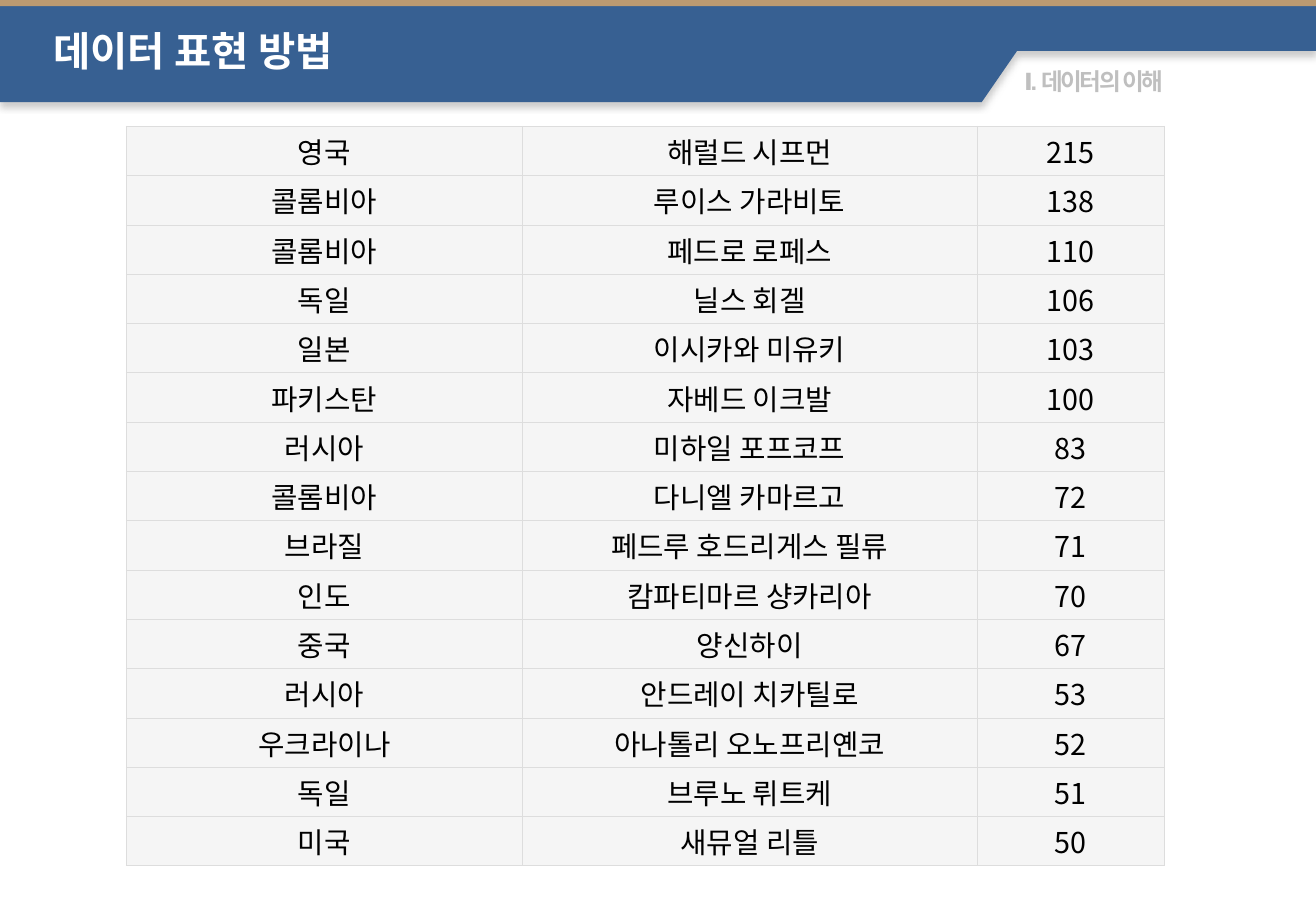
from lxml import etree
from pptx import Presentation
from pptx.dml.color import RGBColor
from pptx.enum.shapes import MSO_SHAPE
from pptx.enum.text import MSO_ANCHOR, PP_ALIGN
from pptx.oxml import parse_xml
from pptx.oxml.ns import qn
from pptx.util import Inches, Pt

RECTANGLE = MSO_SHAPE.RECTANGLE
MIDDLE = MSO_ANCHOR.MIDDLE
CENTER = PP_ALIGN.CENTER
KOREAN_FONT = "Noto Sans CJK KR"
DRAWING_NS = "http://schemas.openxmlformats.org/drawingml/2006/main"
COLORS = {
    "banner": "376092",
    "strip": "BB9A71",
    "shadow": "808080",
    "chapter": "BFBFBF",
    "title": "FFFFFF",
    "cell": "F5F5F5",
    "border": "DDDDDD",
    "text": "000000",
}
ROWS = [
    ("영국", "해럴드 시프먼", 215),
    ("콜롬비아", "루이스 가라비토", 138),
    ("콜롬비아", "페드로 로페스", 110),
    ("독일", "닐스 회겔", 106),
    ("일본", "이시카와 미유키", 103),
    ("파키스탄", "자베드 이크발", 100),
    ("러시아", "미하일 포프코프", 83),
    ("콜롬비아", "다니엘 카마르고", 72),
    ("브라질", "페드루 호드리게스 필류", 71),
    ("인도", "캄파티마르 샹카리아", 70),
    ("중국", "양신하이", 67),
    ("러시아", "안드레이 치카틸로", 53),
    ("우크라이나", "아나톨리 오노프리옌코", 52),
    ("독일", "브루노 뤼트케", 51),
    ("미국", "새뮤얼 리틀", 50),
]
COLUMN_WIDTHS = [3.26, 3.74, 1.54]
TABLE_HEIGHT = 6.09


def write_text(text_frame, text, size, color, font=KOREAN_FONT, bold=False,
               align=None, line_spacing=None, tracking=None):
    """Fill the first paragraph; tracking is in hundredths of a point."""
    paragraph = text_frame.paragraphs[0]
    paragraph.alignment = align
    paragraph.line_spacing = line_spacing
    run = paragraph.add_run()
    run.text = text
    run.font.size = Pt(size)
    run.font.bold = bold
    run.font.name = font
    run.font.color.rgb = RGBColor.from_string(COLORS[color])
    properties = run.font._element
    etree.SubElement(properties, qn("a:ea"), typeface=font)
    if tracking is not None:
        properties.set("spc", str(tracking))


def paint(shape, color):
    shape.fill.solid()
    shape.fill.fore_color.rgb = RGBColor.from_string(COLORS[color])
    shape.line.fill.background()
    shape.shadow.inherit = False


presentation = Presentation()
presentation.slide_width = Inches(10.83)
presentation.slide_height = Inches(7.5)
slide = presentation.slides.add_slide(presentation.slide_layouts[6])
shapes = slide.shapes

# Banner with its stepped lower edge
outline = [(10.83, 0), (10.83, 0.42), (8.37, 0.42), (8.08, 0.84), (0, 0.84)]
builder = shapes.build_freeform(0, 0)
builder.add_line_segments([(Inches(x), Inches(y)) for x, y in outline], close=True)
banner = builder.convert_to_shape()
paint(banner, "banner")
effects = banner._element.spPr.find(qn("a:effectLst"))
effects.append(parse_xml(
    f'<a:outerShdw xmlns:a="{DRAWING_NS}" blurRad="{Pt(4)}" dist="{Pt(3)}" '
    f'dir="5400000" algn="t" rotWithShape="0"><a:srgbClr val="{COLORS["shadow"]}">'
    '<a:alpha val="40000"/></a:srgbClr></a:outerShdw>'
))

strip = shapes.add_shape(RECTANGLE, 0, 0, Inches(10.83), Inches(0.05))
paint(strip, "strip")

chapter = shapes.add_textbox(Inches(8.33), Inches(0.5), Inches(2.52), Inches(0.34))
chapter.text_frame.word_wrap = True
write_text(chapter.text_frame, "Ⅰ. 데이터의 이해", size=14, color="chapter",
           font="Arial", bold=True, tracking=-150)

# Table of countries, names and counts
table_frame = shapes.add_table(
    len(ROWS), len(COLUMN_WIDTHS), Inches(1.04), Inches(1.04),
    Inches(sum(COLUMN_WIDTHS)), Inches(TABLE_HEIGHT))
table = table_frame.table
table.first_row = False
table.horz_banding = False
for column, width in zip(table.columns, COLUMN_WIDTHS):
    column.width = Inches(width)
for row, values in zip(table.rows, ROWS):
    row.height = Inches(TABLE_HEIGHT / len(ROWS))
    for cell, value in zip(row.cells, values):
        cell.vertical_anchor = MIDDLE
        cell.margin_left = cell.margin_right = Inches(0.08)
        cell.margin_top = cell.margin_bottom = Inches(0.03)
        write_text(cell.text_frame, str(value), size=17, color="text", align=CENTER)
        cell_properties = cell._tc.get_or_add_tcPr()
        for side in ("lnL", "lnR", "lnT", "lnB"):
            border = etree.SubElement(cell_properties, qn(f"a:{side}"), w=str(Pt(0.6)))
            border_fill = etree.SubElement(border, qn("a:solidFill"))
            etree.SubElement(border_fill, qn("a:srgbClr"), val=COLORS["border"])
        cell.fill.solid()
        cell.fill.fore_color.rgb = RGBColor.from_string(COLORS["cell"])

title = shapes.add_textbox(Inches(0.34), Inches(0.24), Inches(8.31), Inches(0.44))
title.text_frame.word_wrap = True
write_text(title.text_frame, "데이터 표현 방법", size=24, color="title",
           bold=True, line_spacing=0.8)

presentation.save("out.pptx")
